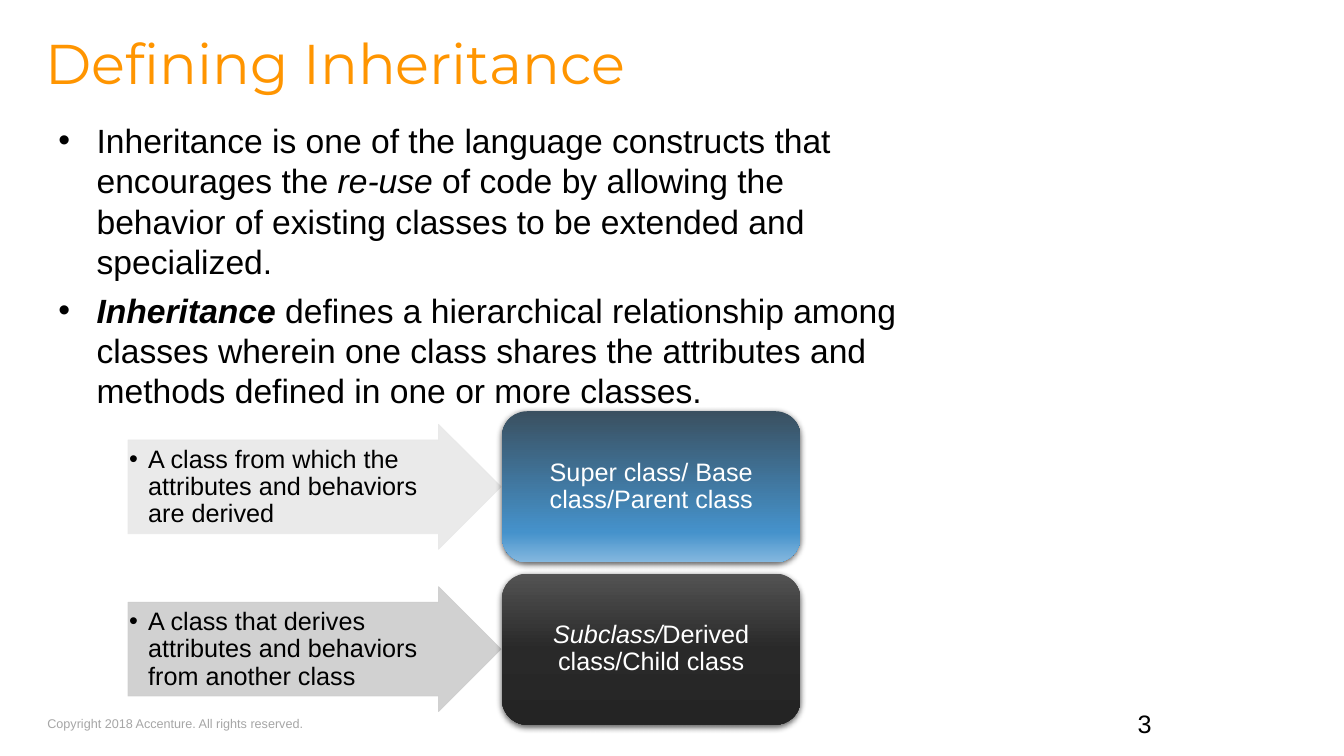
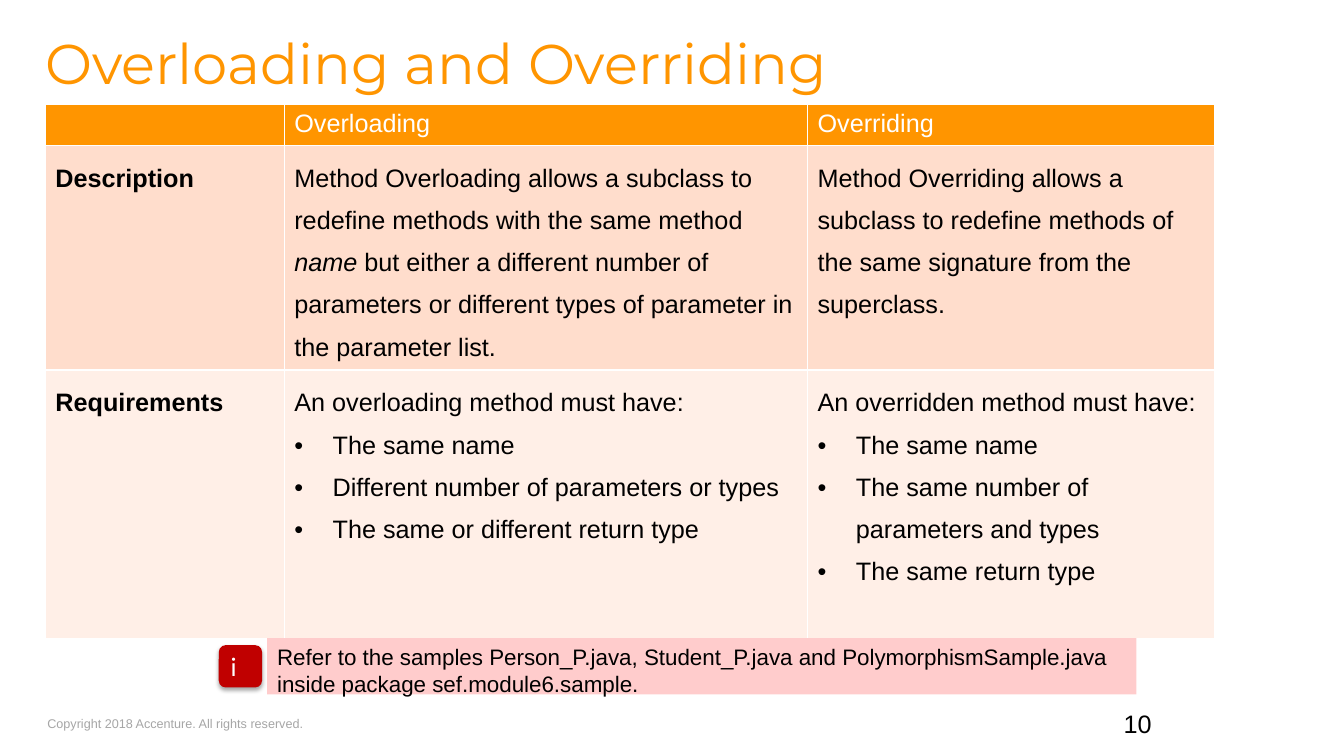
import pptx
import pptx.util
import pptx.dml.color
import pptx.enum.shapes
import pptx.enum.text
import pptx.oxml.ns
import lxml.etree

Inches = pptx.util.Inches
Pt = pptx.util.Pt
RGBColor = pptx.dml.color.RGBColor
SHAPE = pptx.enum.shapes.MSO_SHAPE
ANCHOR = pptx.enum.text.MSO_ANCHOR
ALIGN = pptx.enum.text.PP_ALIGN
qn = pptx.oxml.ns.qn

ORANGE = RGBColor(0xFF, 0x95, 0x00)
BLACK = RGBColor(0x00, 0x00, 0x00)
WHITE = RGBColor(0xFF, 0xFF, 0xFF)
FOOTER_GRAY = RGBColor(0xA6, 0xA6, 0xA6)
LIGHT_ARROW = RGBColor(0xE8, 0xE8, 0xE8)
DARK_ARROW = RGBColor(0xCD, 0xCD, 0xCD)
PEACH = RGBColor(0xFF, 0xDD, 0xCC)
PALE_PEACH = RGBColor(0xFF, 0xEF, 0xE7)
PINK = RGBColor(0xFF, 0xCC, 0xCC)
RED = RGBColor(0xC0, 0x00, 0x00)
BLUE_STOPS = [
    (0, RGBColor(0x3A, 0x50, 0x60)),
    (80, RGBColor(0x45, 0x92, 0xCB)),
    (100, RGBColor(0x85, 0xB8, 0xDF)),
]
CHARCOAL_STOPS = [
    (0, RGBColor(0x53, 0x53, 0x53)),
    (50, RGBColor(0x29, 0x29, 0x29)),
    (100, RGBColor(0x24, 0x24, 0x24)),
]

COPYRIGHT = "Copyright 2018 Accenture. All rights reserved."

INHERITANCE_POINTS = [
    [
        ("Inheritance is one of the language constructs that encourages the ", ""),
        ("re-use", "i"),
        (" of code by allowing the behavior of existing classes to be extended and specialized.", ""),
    ],
    [
        ("Inheritance", "bi"),
        (" defines a hierarchical relationship among classes wherein one class shares "
         "the attributes and methods defined in one or more classes.", ""),
    ],
]

CLASS_ROLES = [
    ("A class from which the attributes and behaviors are derived", LIGHT_ARROW,
     [("Super class/ Base class/Parent class", "")], BLUE_STOPS),
    ("A class that derives attributes and behaviors from another class", DARK_ARROW,
     [("Subclass/", "i"), ("Derived class/Child class", "")], CHARCOAL_STOPS),
]

COLUMN_WIDTHS = [2.37, 5.19, 4.04]
COMPARISON_ROWS = [
    (0.38, ORANGE, [[], ["Overloading"], ["Overriding"]]),
    (2.23, PEACH, [
        [[("Description", "b")]],
        [[
            ("Method Overloading allows a subclass to redefine methods with the same method ", ""),
            ("name ", "i"),
            ("but either a different number of parameters or different types of parameter "
             "in the parameter list.", ""),
        ]],
        ["Method Overriding allows a subclass to redefine methods of the same signature "
         "from the superclass."],
    ]),
    (2.67, PALE_PEACH, [
        [[("Requirements", "b")]],
        ["An overloading method must have:", "The same name",
         "Different number of parameters or types", "The same or different return type"],
        ["An overridden method must have:", "The same name",
         "The same number of parameters and types", "The same return type"],
    ]),
]

SAMPLES_NOTE = ("Refer to the samples Person_P.java, Student_P.java and PolymorphismSample.java "
                "inside package sef.module6.sample.")


def write_text(frame, paragraphs, size=18, color=BLACK, font="Arial", align=None,
               anchor=ANCHOR.TOP, margins=(0.1, 0.05), wrap=True, spacing=None,
               gap=0, bullet_from=None, indent=0.38):
    frame.word_wrap = wrap
    frame.vertical_anchor = anchor
    frame.margin_left = frame.margin_right = Inches(margins[0])
    frame.margin_top = frame.margin_bottom = Inches(margins[1])
    for index, content in enumerate(paragraphs):
        paragraph = frame.add_paragraph() if index else frame.paragraphs[0]
        if bullet_from is not None and index >= bullet_from:
            properties = paragraph._p.get_or_add_pPr()
            properties.set("marL", str(Inches(indent)))
            properties.set("indent", str(-Inches(indent)))
            lxml.etree.SubElement(properties, qn("a:buFont"), typeface="Arial")
            lxml.etree.SubElement(properties, qn("a:buChar"), char="•")
        paragraph.alignment = align
        if spacing:
            paragraph.line_spacing = spacing
        if gap and index:
            paragraph.space_before = Pt(gap)
        runs = [(content, "")] if isinstance(content, str) else content
        for text, style in runs:
            run = paragraph.add_run()
            run.text = text
            run.font.name = font
            run.font.size = Pt(size)
            run.font.color.rgb = color
            run.font.bold = "b" in style
            run.font.italic = "i" in style


def add_text(slide, box, paragraphs, **text_format):
    shape = slide.shapes.add_textbox(*map(Inches, box))
    write_text(shape.text_frame, paragraphs, **text_format)


def add_plain_shape(slide, kind, box, fill=None):
    shape = slide.shapes.add_shape(kind, *map(Inches, box))
    shape.shadow.inherit = False
    shape.line.fill.background()
    if fill is not None:
        shape.fill.solid()
        shape.fill.fore_color.rgb = fill
    return shape


def set_opacity(parent, percent):
    for color in parent.iter(qn("a:srgbClr")):
        lxml.etree.SubElement(color, qn("a:alpha"), val=str(percent * 1000))


def add_shadow(shape, opacity, blur, distance):
    effects = shape._element.spPr.find(qn("a:effectLst"))
    shadow = lxml.etree.SubElement(
        effects, qn("a:outerShdw"), blurRad=str(Pt(blur)), dist=str(Pt(distance)),
        dir="5400000", rotWithShape="0")
    lxml.etree.SubElement(shadow, qn("a:srgbClr"), val=str(BLACK))
    set_opacity(shadow, opacity)


def fill_gradient(shape, stops):
    shape.fill.gradient()
    shape.fill.gradient_angle = 270
    stop_list = shape._element.spPr.find(qn("a:gradFill")).find(qn("a:gsLst"))
    for stop in list(stop_list):
        stop_list.remove(stop)
    for position, color in stops:
        stop = lxml.etree.SubElement(stop_list, qn("a:gs"), pos=str(position * 1000))
        lxml.etree.SubElement(stop, qn("a:srgbClr"), val=str(color))


def set_borders(cell):
    properties = cell._tc.get_or_add_tcPr()
    for index, side in enumerate("LRTB"):
        line = lxml.etree.Element(qn("a:ln" + side), w=str(Pt(1)))
        fill = lxml.etree.SubElement(line, qn("a:solidFill"))
        lxml.etree.SubElement(fill, qn("a:srgbClr"), val=str(WHITE))
        properties.insert(index, line)


def add_base_slide(presentation, title, number):
    slide = presentation.slides.add_slide(presentation.slide_layouts[6])
    add_text(slide, (0.47, 7.05, 2.57, 0.25), [COPYRIGHT], size=9, color=FOOTER_GRAY,
             margins=(0, 0.05), wrap=False)
    add_text(slide, (9.67, 7.08, 1.85, 0.3), [str(number)], align=ALIGN.RIGHT,
             anchor=ANCHOR.BOTTOM)
    add_text(slide, (0.45, 0.41, 8.32, 1.09), [title], size=40, color=ORANGE,
             font="Montserrat", margins=(0, 0), spacing=0.8)
    return slide


def add_class_role(slide, top, description, arrow_color, label, stops):
    arrow = add_plain_shape(slide, SHAPE.RIGHT_ARROW, (1.27, top + 0.13, 3.7, 1.24), arrow_color)
    arrow.adjustments[0] = 0.75
    arrow.adjustments[1] = 0.5
    arrow.line.color.rgb = arrow_color
    arrow.line.width = Pt(0.5)
    set_opacity(arrow._element.spPr, 90)
    add_text(slide, (1.27, top + 0.29, 3.24, 0.93), [description], anchor=ANCHOR.MIDDLE,
             margins=(0.01, 0.01), spacing=0.9, bullet_from=0, indent=0.19)
    block = add_plain_shape(slide, SHAPE.ROUNDED_RECTANGLE, (4.98, top, 2.96, 1.5))
    fill_gradient(block, stops)
    add_shadow(block, 63, 4.5, 1.5)
    write_text(block.text_frame, [label], color=WHITE, align=ALIGN.CENTER,
               anchor=ANCHOR.MIDDLE, margins=(0.15, 0.11), spacing=0.9)


def add_comparison_table(slide):
    heights = [row[0] for row in COMPARISON_ROWS]
    table = slide.shapes.add_table(
        len(heights), len(COLUMN_WIDTHS), Inches(0.45), Inches(1.04),
        Inches(sum(COLUMN_WIDTHS)), Inches(sum(heights))).table
    table.horz_banding = False
    for column, width in zip(table.columns, COLUMN_WIDTHS):
        column.width = Inches(width)
    for row_index, (height, fill, cells) in enumerate(COMPARISON_ROWS):
        header = row_index == 0
        table.rows[row_index].height = Inches(height)
        for column_index, paragraphs in enumerate(cells):
            cell = table.cell(row_index, column_index)
            cell.fill.solid()
            cell.fill.fore_color.rgb = fill
            set_borders(cell)
            write_text(cell.text_frame, paragraphs, color=WHITE if header else BLACK,
                       spacing=None if header else Pt(30.2), bullet_from=1)


def build_inheritance_slide(presentation):
    slide = add_base_slide(presentation, "Defining Inheritance", 3)
    add_text(slide, (0.48, 1.14, 8.75, 2.94), INHERITANCE_POINTS, size=24,
             gap=6, bullet_from=0)
    for index, role in enumerate(CLASS_ROLES):
        add_class_role(slide, 4.08 + index * 1.61, *role)


def build_comparison_slide(presentation):
    slide = add_base_slide(presentation, "Overloading and Overriding", 10)
    add_comparison_table(slide)
    note = add_plain_shape(slide, SHAPE.RECTANGLE, (2.65, 6.33, 8.62, 0.56), PINK)
    write_text(note.text_frame, [SAMPLES_NOTE], size=16, align=ALIGN.LEFT)
    badge = add_plain_shape(slide, SHAPE.ROUNDED_RECTANGLE, (2.17, 6.4, 0.43, 0.42), RED)
    add_shadow(badge, 35, 3.1, 1.8)
    write_text(badge.text_frame, ["i"], color=WHITE, font="Lato", align=ALIGN.LEFT,
               anchor=ANCHOR.MIDDLE)


def main():
    presentation = pptx.Presentation()
    presentation.slide_width = Inches(13.33)
    presentation.slide_height = Inches(7.5)
    build_inheritance_slide(presentation)
    build_comparison_slide(presentation)
    presentation.save("out.pptx")


if __name__ == "__main__":
    main()
